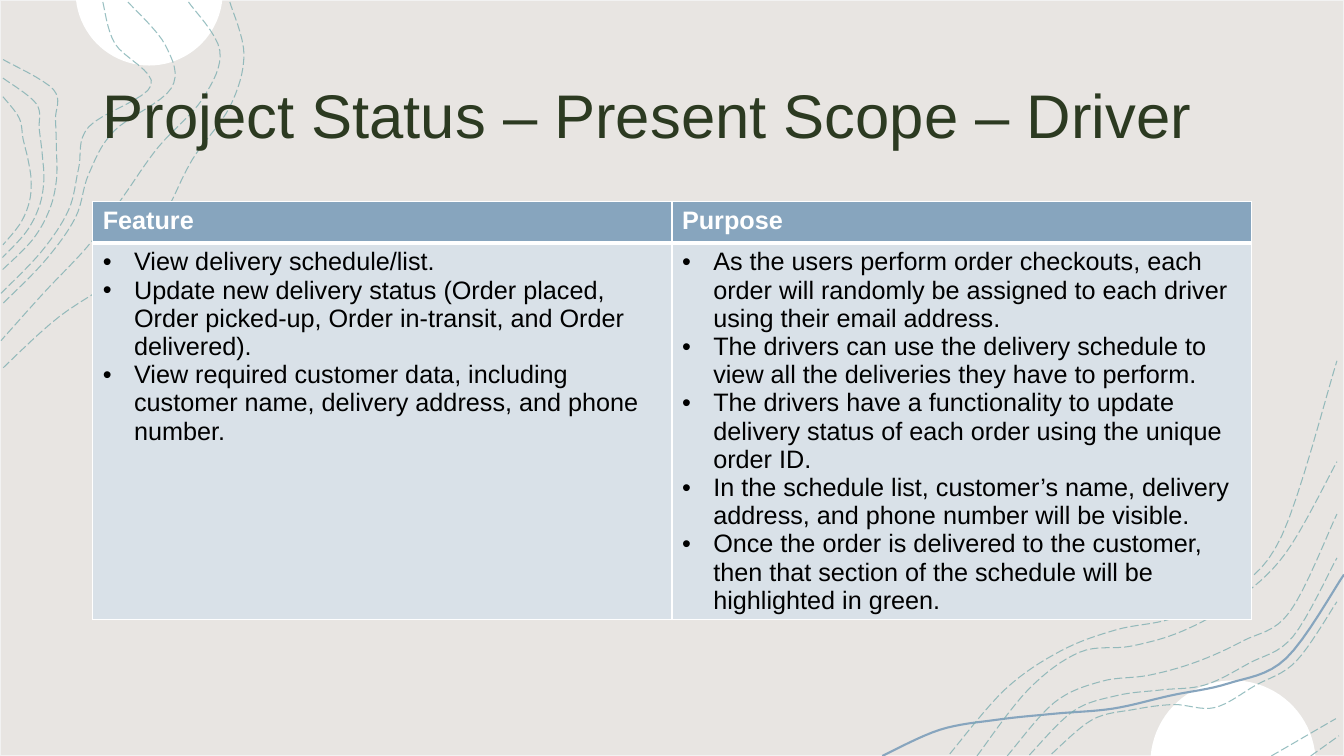
from math import asin, cos, pi, sin

from lxml.etree import SubElement
from pptx import Presentation
from pptx.dml.color import RGBColor
from pptx.enum.dml import MSO_LINE
from pptx.enum.shapes import MSO_SHAPE as SHAPE
from pptx.enum.text import MSO_ANCHOR as ANCHOR, PP_ALIGN as ALIGN
from pptx.oxml.ns import qn
from pptx.util import Inches, Pt

WIDTH, HEIGHT = 13.33, 7.5
MARGIN, TABLE_TOP, ROW_HEIGHTS = 0.92, 2, (0.41, 3.73)
BLUE, PALE_BLUE, TEAL, WHITE = "87A5BE", "D9E1E8", "77ABAE", "FFFFFF"
color = RGBColor.from_string

deck = Presentation()
deck.slide_width, deck.slide_height = Inches(WIDTH), Inches(HEIGHT)
page = deck.slides.add_slide(deck.slide_layouts[5])


def write(para, text, size=18, fill="000000", bold=False, bullet=False):
    span = para.add_run()
    span.text = text
    span.font.name, span.font.size, span.font.bold = "Arial", Pt(size), bold
    span.font.color.rgb = color(fill)
    para.alignment = ALIGN.LEFT
    if bullet:
        props = para._p.get_or_add_pPr()
        props.set("marL", str(Inches(0.31)))
        props.set("indent", str(-Inches(0.31)))
        SubElement(props, qn("a:buFont"), typeface="Arial")
        SubElement(props, qn("a:buChar"), char="•")


def trace(knots, steps=8, close=False):
    """Draw a smooth Catmull-Rom curve through the knots, given in inches."""
    ends = [knots[0], *knots, knots[-1]]
    points = []
    for a, b, c, d in zip(ends, ends[1:], ends[2:], ends[3:]):
        for t in (step / steps for step in range(steps)):
            points.append([
                Inches(q + (r - p) * t / 2 + (2 * p - 5 * q + 4 * r - s) * t**2 / 2
                       + (3 * q - p - 3 * r + s) * t**3 / 2)
                for p, q, r, s in zip(a, b, c, d)])
    points.append([Inches(value) for value in knots[-1]])
    pen = page.shapes.build_freeform(*points[0])
    pen.add_line_segments(points[1:], close=close)
    shape = pen.convert_to_shape()
    shape.shadow.inherit = False
    return shape


# Background panel
panel = page.shapes.add_shape(SHAPE.RECTANGLE, 0, 0, deck.slide_width, deck.slide_height)
panel.shadow.inherit = False
panel.fill.solid()
panel.fill.fore_color.rgb = color("E8E5E2")
panel.line.color.rgb = color("F2F2F2")
panel.line.width = Pt(1)

# White discs cut off by the top and bottom edges
for center_x, center_y, radius, edge in [(1.48, -0.08, 0.73, 0), (12.23, 7.57, 0.82, HEIGHT)]:
    side = 1 if edge == 0 else -1
    start = asin(abs(edge - center_y) / radius)
    angles = [start + (pi - 2 * start) * step / 40 for step in range(41)]
    disc = trace([(center_x + radius * cos(angle), center_y + side * radius * sin(angle))
                  for angle in angles], steps=1, close=True)
    disc.fill.solid()
    disc.fill.fore_color.rgb = color(WHITE)
    disc.line.fill.background()

# Solid blue stream: heights at equal steps across
heights = [7.5, 7.24, 7.14, 7.08, 7.03, 6.9, 6.78, 6.53, 5.7]
stream_left = 8.75
stride = (WIDTH - stream_left) / (len(heights) - 1)
stream = trace([(stream_left + stride * index, height) for index, height in enumerate(heights)])
stream.fill.background()
stream.line.color.rgb = color(BLUE)
stream.line.width = Pt(1.5)

# Dashed contours: each bundle blends evenly from its first line to its last.
# A line is its start, its end and the offsets at equal steps between them.
falling = [  # steps run down, offsets run across
    (2, (0.02, 3.66, [2.28, 2.42, 2.28, 1.91, 1.65, 1.35, 0.59, 0.02]),
        (0.02, 3.38, [1.87, 2.18, 2.01, 1.57, 1.23, 0.89, 0.44, 0.01])),
    (2, (0.02, 3.01, [1.27, 1.64, 1.7, 1.13, 0.88, 0.75, 0.45, 0.03]),
        (0.02, 2.91, [1.02, 1.14, 1.5, 0.88, 0.78, 0.68, 0.41, 0.01])),
    (3, (0.59, 2.68, [0.03, 0.53, 0.55, 0.56, 0.56, 0.49, 0.32, 0.02]),
        (0.96, 2.43, [0.03, 0.19, 0.23, 0.28, 0.31, 0.29, 0.2, 0.03])),
]
rising = [  # steps run across, offsets run down
    (2, (9.42, 13.26, [7.48, 6.84, 6.46, 6.25, 6.14, 5.9, 5.32, 3.58]),
        (9.69, 13.26, [7.5, 6.84, 6.47, 6.41, 6.26, 5.97, 5.49, 4.58])),
    (2, (13, 13.28, [7.5, 7.3]), (12.61, 13.25, [7.5, 7.13])),
    (3, (9.99, 13.26, [7.5, 6.97, 6.76, 6.7, 6.57, 6.36, 6.07, 5.1]),
        (10.43, 13.26, [7.48, 7.14, 7.04, 6.99, 7.02, 6.8, 6.56, 5.97])),
]
for bundles in (falling, rising):
    for count, first, last in bundles:
        for share in (line / (count - 1) for line in range(count)):
            begin, end, *offsets = [
                one + (other - one) * share
                for one, other in zip([*first[:2], *first[2]], [*last[:2], *last[2]])]
            stride = (end - begin) / (len(offsets) - 1)
            knots = [(begin + stride * index, offset) for index, offset in enumerate(offsets)]
            if bundles is falling:
                knots = [(across, down) for down, across in knots]
            contour = trace(knots)
            contour.fill.background()
            contour.line.color.rgb = color(TEAL)
            contour.line.width = Pt(0.75)
            contour.line.dash_style = MSO_LINE.LONG_DASH
            for tint in contour.line._get_or_add_ln().iter(qn("a:srgbClr")):
                SubElement(tint, qn("a:alpha"), val="75000")

# Title, brought in front of the decoration
title = page.shapes.title
page.shapes._spTree.append(title._element)
title.left, title.top = Inches(MARGIN), Inches(0.4)
title.width, title.height = Inches(WIDTH - 2 * MARGIN), Inches(1.45)
title.text_frame.vertical_anchor = ANCHOR.MIDDLE
write(title.text_frame.paragraphs[0], "Project Status – Present Scope – Driver",
      size=44, fill="2C3A21")

# Feature and purpose table
columns = {
    "Feature": [
        "View delivery schedule/list.",
        "Update new delivery status (Order placed, Order picked-up, Order in-transit, and Order delivered).",
        "View required customer data, including customer name, delivery address, and phone number.",
    ],
    "Purpose": [
        "As the users perform order checkouts, each order will randomly be assigned to each driver using their email address.",
        "The drivers can use the delivery schedule to view all the deliveries they have to perform.",
        "The drivers have a functionality to update delivery status of each order using the unique order ID.",
        "In the schedule list, customer’s name, delivery address, and phone number will be visible.",
        "Once the order is delivered to the customer, then that section of the schedule will be highlighted in green.",
    ],
}
table = page.shapes.add_table(
    2, len(columns), Inches(MARGIN), Inches(TABLE_TOP),
    Inches(WIDTH - 2 * MARGIN), Inches(sum(ROW_HEIGHTS))).table
for row, height in zip(table.rows, ROW_HEIGHTS):
    row.height = Inches(height)

for column, (heading, points) in enumerate(columns.items()):
    for row, lines in enumerate([[heading], points]):
        cell = table.cell(row, column)
        header = row == 0
        for number, line in enumerate(lines):
            frame = cell.text_frame
            para = frame.add_paragraph() if number else frame.paragraphs[0]
            write(para, line, fill=WHITE if header else "000000", bold=header, bullet=not header)
        # White borders, thick between the header and the body
        for side in "LRTB":
            thick = (row, side) in [(0, "B"), (1, "T")]
            border = SubElement(cell._tc.get_or_add_tcPr(), qn(f"a:ln{side}"),
                                w=str(Pt(3 if thick else 1)))
            SubElement(SubElement(border, qn("a:solidFill")), qn("a:srgbClr"), val=WHITE)
        cell.fill.solid()
        cell.fill.fore_color.rgb = color(BLUE if header else PALE_BLUE)

deck.save("out.pptx")
